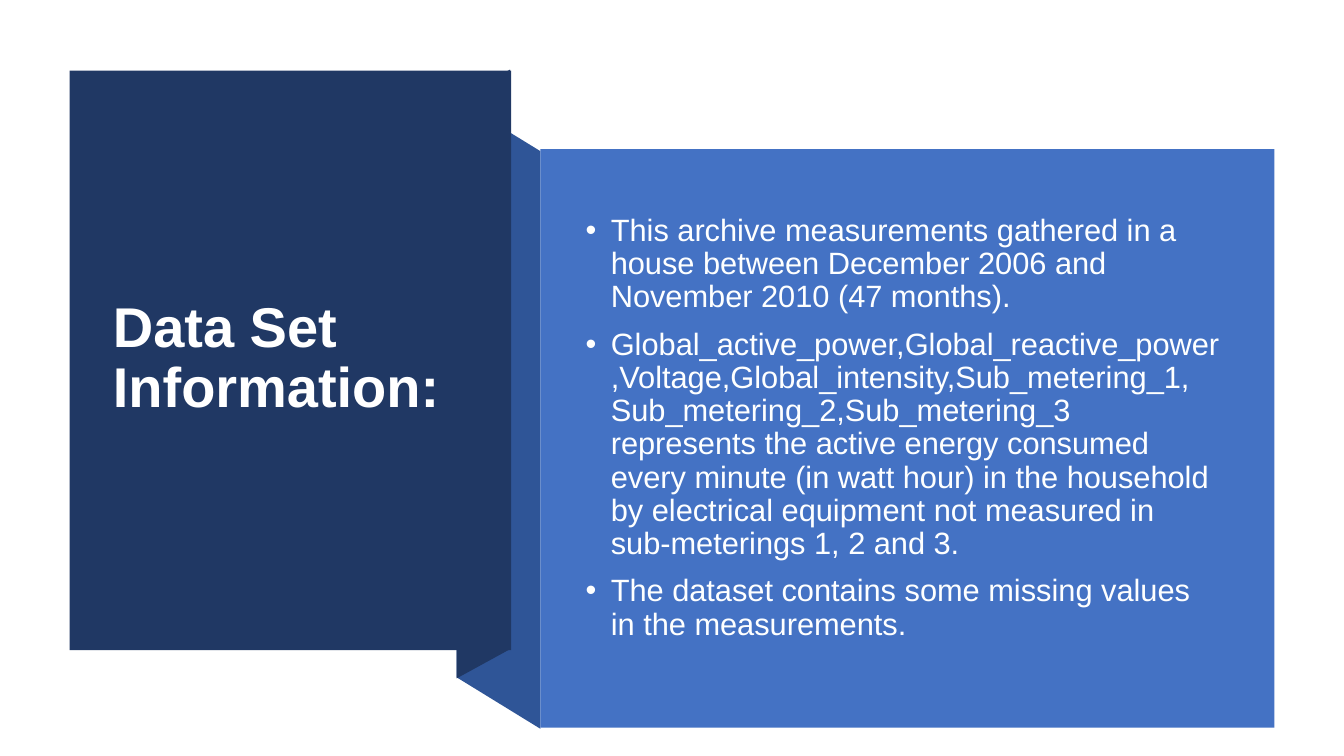
from lxml.etree import SubElement
from pptx import Presentation
from pptx.dml.color import RGBColor
from pptx.enum.shapes import MSO_SHAPE as Shape
from pptx.enum.text import MSO_ANCHOR as Anchor, MSO_AUTO_SIZE as AutoSize, PP_ALIGN as Align
from pptx.oxml.ns import qn
from pptx.util import Inches, Pt

COLORS = {
    "navy": "203864",
    "fold": "2F5597",
    "panel": "4472C4",
    "title": "FFFFFF",
    "body": "FEFFFF",
}
FACTS = [
    "This archive measurements gathered in a house between December 2006 and "
    "November 2010 (47 months).",
    "Global_active_power,Global_reactive_power,Voltage,Global_intensity,Sub_metering_1, "
    "Sub_metering_2,Sub_metering_3 represents the active energy consumed every minute "
    "(in watt hour) in the household by electrical equipment not measured in "
    "sub-meterings 1, 2 and 3.",
    "The dataset contains some missing values in the measurements.",
]


def write(paragraph, text, size, color, font="Arial", bold=False, before=0, bullet=None):
    """Fill a paragraph with formatted text and an optional hanging bullet."""
    paragraph.alignment = Align.LEFT
    paragraph.line_spacing = 0.9
    paragraph.space_before = Pt(before)
    run = paragraph.add_run()
    run.text = text
    run.font.name = font
    run.font.size = Pt(size)
    run.font.bold = bold
    run.font.color.rgb = RGBColor.from_string(COLORS[color])
    if bullet:
        properties = paragraph._p.get_or_add_pPr()
        properties.set("marL", str(Inches(0.25)))
        properties.set("indent", str(Inches(-0.25)))
        SubElement(properties, qn("a:buFont"), typeface="Arial")
        SubElement(properties, qn("a:buChar"), char=bullet)


class FoldedSlide:
    """Holds the current slide and draws its folded panels and text."""

    def __init__(self, deck):
        """Add a title-only slide to the deck."""
        self.slide = deck.slides.add_slide(deck.slide_layouts[5])
        self.shapes = self.slide.shapes

    def paint(self, shape, color):
        """Give a shape a flat fill without line or shadow."""
        shape.shadow.inherit = False
        shape.fill.solid()
        shape.fill.fore_color.rgb = RGBColor.from_string(COLORS[color])
        shape.line.fill.background()

    def outline(self, points, color):
        """Draw a closed polygon through points in inches."""
        start, *rest = [(Inches(x), Inches(y)) for x, y in points]
        builder = self.shapes.build_freeform(*start)
        builder.add_line_segments(rest, close=True)
        self.paint(builder.convert_to_shape(), color)

    def panel(self, box, color):
        """Draw a flat rectangle."""
        self.paint(self.shapes.add_shape(Shape.RECTANGLE, *map(Inches, box)), color)

    def frame(self, shape):
        """Return the wrapped, vertically centred text frame of a shape."""
        frame = shape.text_frame
        frame.word_wrap = True
        frame.auto_size = AutoSize.NONE
        frame.vertical_anchor = Anchor.MIDDLE
        return frame

    def title(self, text, box):
        """Place the title in front of the panels drawn so far."""
        heading = self.shapes.title
        heading.left, heading.top, heading.width, heading.height = map(Inches, box)
        self.shapes.element.append(heading.element)
        write(self.frame(heading).paragraphs[0], text, size=40, color="title", bold=True)

    def bullets(self, items, box):
        """Place a bulleted list."""
        frame = self.frame(self.shapes.add_textbox(*map(Inches, box)))
        for index, item in enumerate(items):
            paragraph = frame.add_paragraph() if index else frame.paragraphs[0]
            write(paragraph, item, size=22, color="body", before=10, bullet="•")


def main():
    """Build and save the slide."""
    deck = Presentation()
    deck.slide_width, deck.slide_height = Inches(13.33), Inches(7.5)
    page = FoldedSlide(deck)
    page.outline([(5.36, 7.23), (4.53, 6.72), (4.53, 0.99), (5.36, 1.5)], "fold")
    page.outline([(5.06, 6.44), (4.53, 6.73), (4.53, 0.98), (5.06, 0.69)], "navy")
    page.panel((0.69, 0.7, 4.38, 5.75), "navy")
    page.title("Data Set Information:", (1.02, 1.07, 3.71, 4.99))
    page.panel((5.36, 1.48, 7.28, 5.74), "panel")
    page.bullets(FACTS, (5.71, 1.88, 6.51, 4.74))
    deck.save("out.pptx")


if __name__ == "__main__":
    main()
